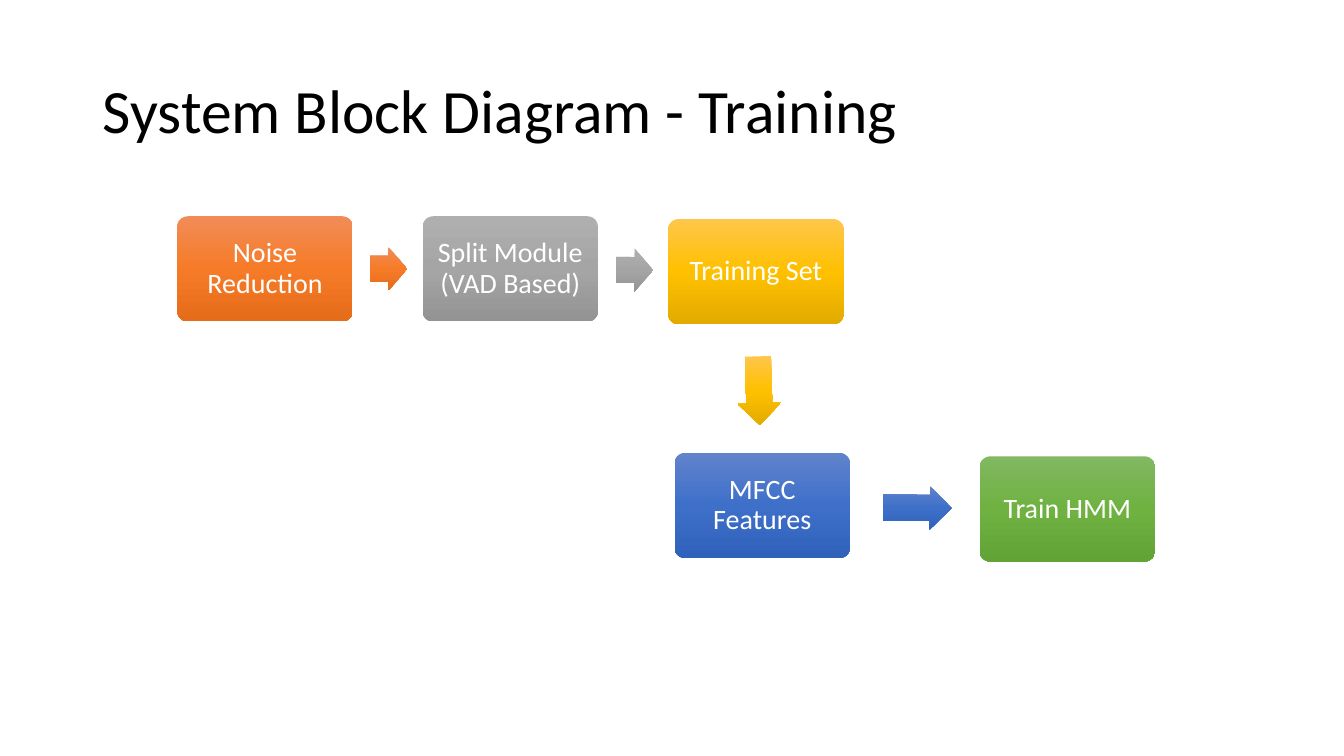
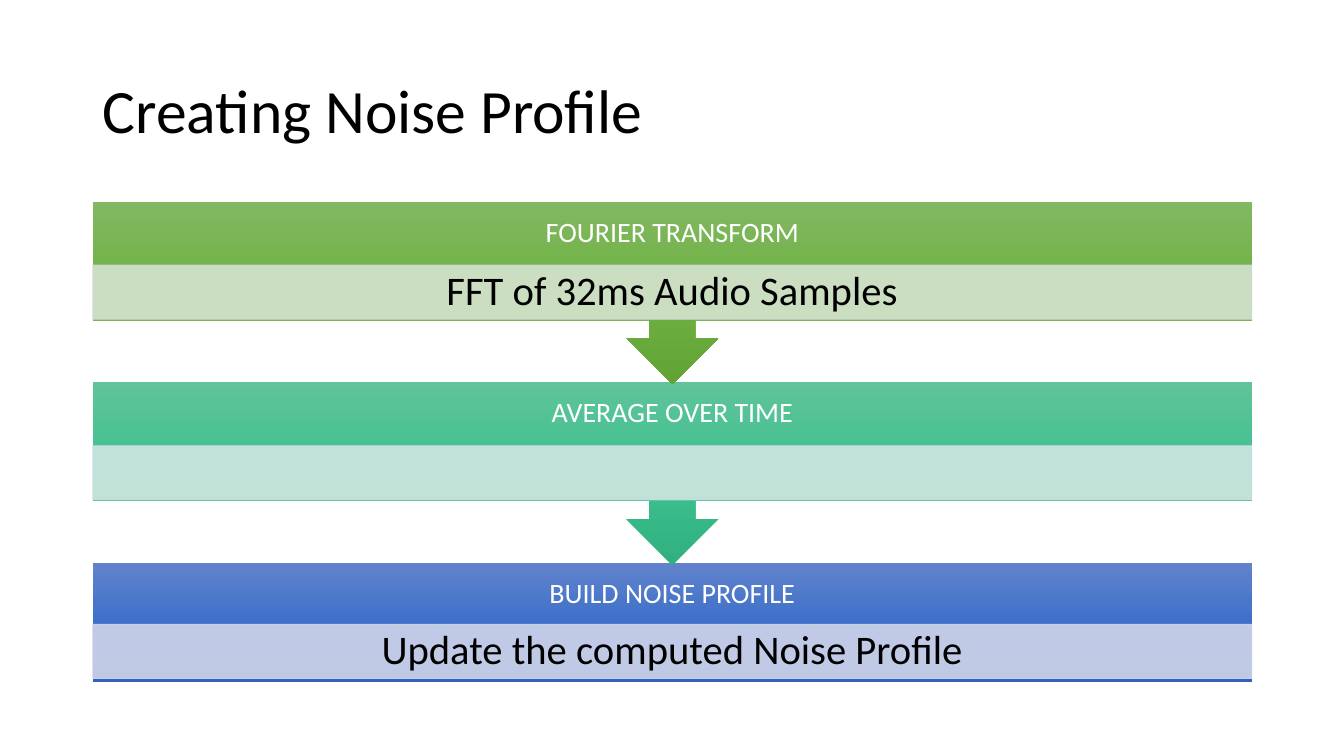
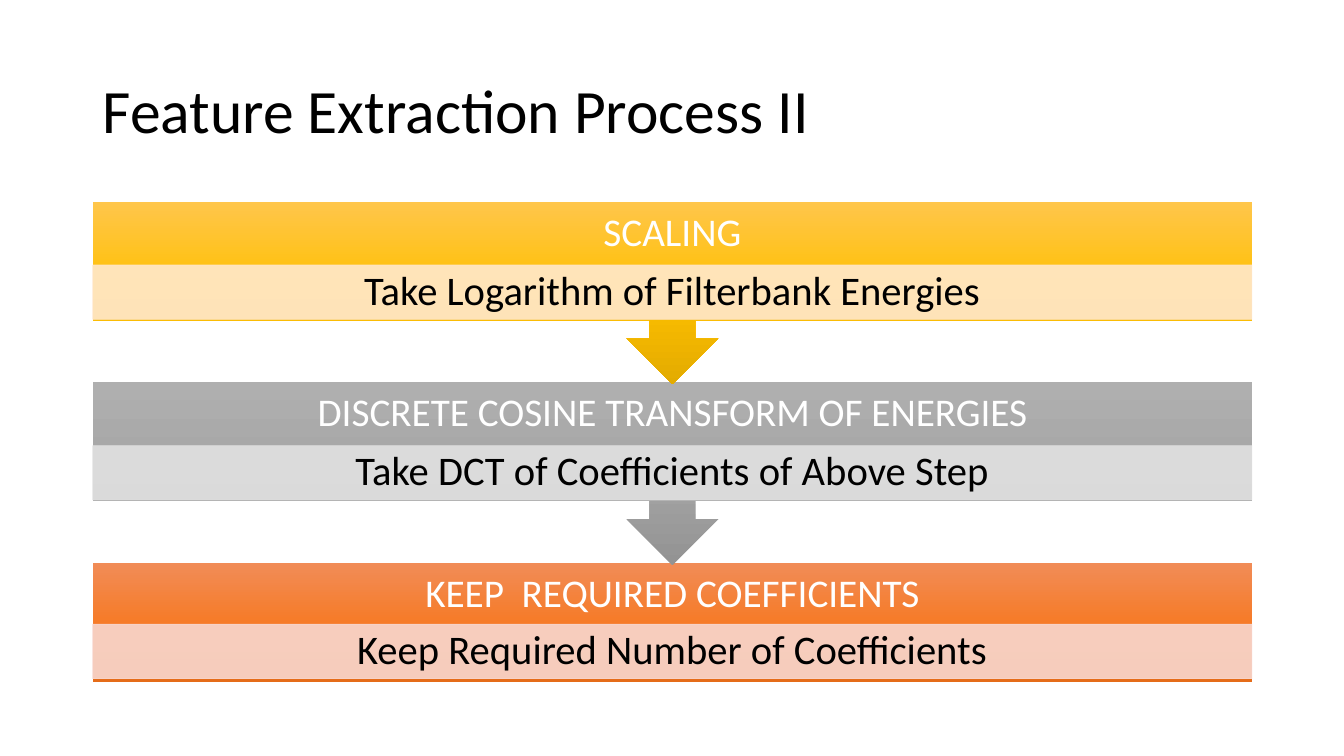
from copy import deepcopy

from pptx import Presentation
from pptx import util as u
from pptx.dml import color
from pptx.enum import shapes, text
from pptx.oxml import ns, xmlchemy

FONT = "Calibri"
WHITE, BLACK = "FFFFFF", "000000"
GRADIENTS = {
    "orange": ("F18C57", "F67B28", "E56C19"),
    "gray": ("AFAFAF", "A5A5A5", "939393"),
    "gold": ("FFC64B", "FFC000", "E3AB00"),
    "blue": ("6183CB", "3E70CA", "3062BB"),
    "green": ("81B861", "6FB242", "62A336"),
    "teal": ("60C39A", "3DC18F", "31B080"),
}
LEFT, WIDTH = 2.34, 29.21
STAGE_TOP, STAGE_PITCH = 5.08, 4.55
HEADING_HEIGHT, DETAIL_HEIGHT = 1.6, 1.37


def rgb(value):
    return color.RGBColor.from_string(value)


class Deck:
    def __init__(self):
        self.presentation = Presentation()
        self.presentation.slide_width = u.Cm(33.87)
        self.presentation.slide_height = u.Cm(19.05)
        self.slide = None

    def new_slide(self, heading):
        layout = self.presentation.slide_layouts[5]
        self.slide = self.presentation.slides.add_slide(layout)
        title = self.slide.shapes.title
        title.left, title.top = u.Cm(LEFT), u.Cm(1.02)
        title.width, title.height = u.Cm(WIDTH), u.Cm(3.68)
        self.set_words(title, heading, 44, BLACK, text.PP_ALIGN.LEFT, 0.25)

    def set_words(self, holder, words, size, ink, align=text.PP_ALIGN.CENTER, margin=0.2):
        frame = holder.text_frame
        frame.text = words
        frame.word_wrap = True
        frame.auto_size = text.MSO_AUTO_SIZE.NONE
        frame.vertical_anchor = text.MSO_ANCHOR.MIDDLE
        frame.margin_left = frame.margin_right = u.Cm(margin)
        frame.margin_top = frame.margin_bottom = u.Cm(0.1)
        paragraph = frame.paragraphs[0]
        paragraph.alignment = align
        paragraph.line_spacing = 0.9
        for run in paragraph.runs:
            run.font.name = FONT
            run.font.size = u.Pt(size)
            run.font.color.rgb = rgb(ink)

    def shape(self, kind, left, top, width, height, rotation=0):
        shape = self.slide.shapes.add_shape(
            kind, u.Cm(left), u.Cm(top), u.Cm(width), u.Cm(height))
        shape.shadow.inherit = False
        shape.rotation = rotation
        return shape

    def gradient_shape(self, kind, hue, *place):
        shape = self.shape(kind, *place)
        shape.line.fill.background()
        shape.fill.gradient()
        shape.fill.gradient_angle = 270
        gradient = shape.element.spPr.find(ns.qn("a:gradFill"))
        gradient.set("rotWithShape", "0")
        stops = gradient.find(ns.qn("a:gsLst"))
        stops.append(deepcopy(stops[0]))
        for index, stop in enumerate(shape.fill.gradient_stops):
            stop.position = index / 2
            stop.color.rgb = rgb(GRADIENTS[hue][index])
        return shape

    def block(self, words, hue, left, top):
        kind = shapes.MSO_SHAPE.ROUNDED_RECTANGLE
        block = self.gradient_shape(kind, hue, left, top, 4.42, 2.65)
        block.adjustments[0] = 0.1
        self.set_words(block, words, 20, WHITE)

    def arrow(self, hue, left, top, length, rotation=0):
        kind = shapes.MSO_SHAPE.RIGHT_ARROW
        arrow = self.gradient_shape(kind, hue, left, top, length, 1.09, rotation)
        arrow.adjustments[0] = 0.6
        arrow.adjustments[1] = 0.5

    def heading(self, words, size, top):
        label = self.slide.shapes.add_textbox(
            u.Cm(LEFT), u.Cm(top), u.Cm(WIDTH), u.Cm(HEADING_HEIGHT))
        self.set_words(label, words, size, WHITE)

    def detail(self, words, tint, edge, top):
        band = self.shape(shapes.MSO_SHAPE.RECTANGLE, LEFT, top, WIDTH, DETAIL_HEIGHT)
        band.fill.solid()
        band.fill.fore_color.rgb = rgb(tint)
        band.line.color.rgb = rgb(edge)
        band.line.width = u.Pt(0.5)
        for tone in band.element.spPr.iter(ns.qn("a:srgbClr")):
            alpha = xmlchemy.OxmlElement("a:alpha")
            alpha.set("val", "90000")
            tone.append(alpha)
        if words:
            self.set_words(band, words, 29, BLACK, margin=0.58)

    def process(self, title, heading_size, stages):
        self.new_slide(title)
        last = len(stages) - 1
        for index, (heading, detail, hue, tint, edge) in reversed(list(enumerate(stages))):
            top = STAGE_TOP + index * STAGE_PITCH
            if index == last:
                kind, height, rotation = shapes.MSO_SHAPE.RECTANGLE, 3, 0
                detail_top = top + 1.55
            else:
                kind, height, rotation = shapes.MSO_SHAPE.UP_ARROW_CALLOUT, 4.6, 180
                detail_top = top + HEADING_HEIGHT
            self.gradient_shape(kind, hue, LEFT, top, WIDTH, height, rotation)
            self.heading(heading, heading_size, top)
            self.detail(detail, tint, edge, detail_top)


def main():
    deck = Deck()

    deck.new_slide("System Block Diagram - Training")
    for block in (
        ("Noise Reduction", "orange", 4.47, 5.45),
        ("Split Module (VAD Based)", "gray", 10.65, 5.45),
        ("Training Set", "gold", 16.84, 5.52),
        ("MFCC Features", "blue", 17, 11.41),
        ("Train HMM", "green", 24.69, 11.5),
    ):
        deck.block(*block)
    for arrow in (
        ("orange", 9.32, 6.23, 0.94),
        ("gray", 15.52, 6.26, 0.94, 0.6),
        ("gold", 18.26, 9.3, 1.73, 88.4),
        ("blue", 22.25, 12.25, 1.73, 0.7),
    ):
        deck.arrow(*arrow)

    deck.process("Creating Noise Profile", 20, (
        ("FOURIER TRANSFORM", "FFT of 32ms Audio Samples",
         "green", "D5E3CF", "CFD5EA"),
        ("AVERAGE OVER TIME", "", "teal", "CFE6E0", "CFD5EA"),
        ("BUILD NOISE PROFILE", "Update the computed Noise Profile",
         "blue", "CFD5EA", "CFD5EA"),
    ))

    deck.process("Feature Extraction Process II", 28, (
        ("SCALING", "Take Logarithm of Filterbank Energies",
         "gold", "FFE8CC", "FFE8CC"),
        ("DISCRETE COSINE TRANSFORM OF ENERGIES", "Take DCT of Coefficients of Above Step",
         "gray", "E1E1E1", "E1E1E1"),
        ("KEEP  REQUIRED COEFFICIENTS", "Keep Required Number of Coefficients",
         "orange", "F8D7CE", "F8D7CE"),
    ))

    deck.presentation.save("out.pptx")


if __name__ == "__main__":
    main()
